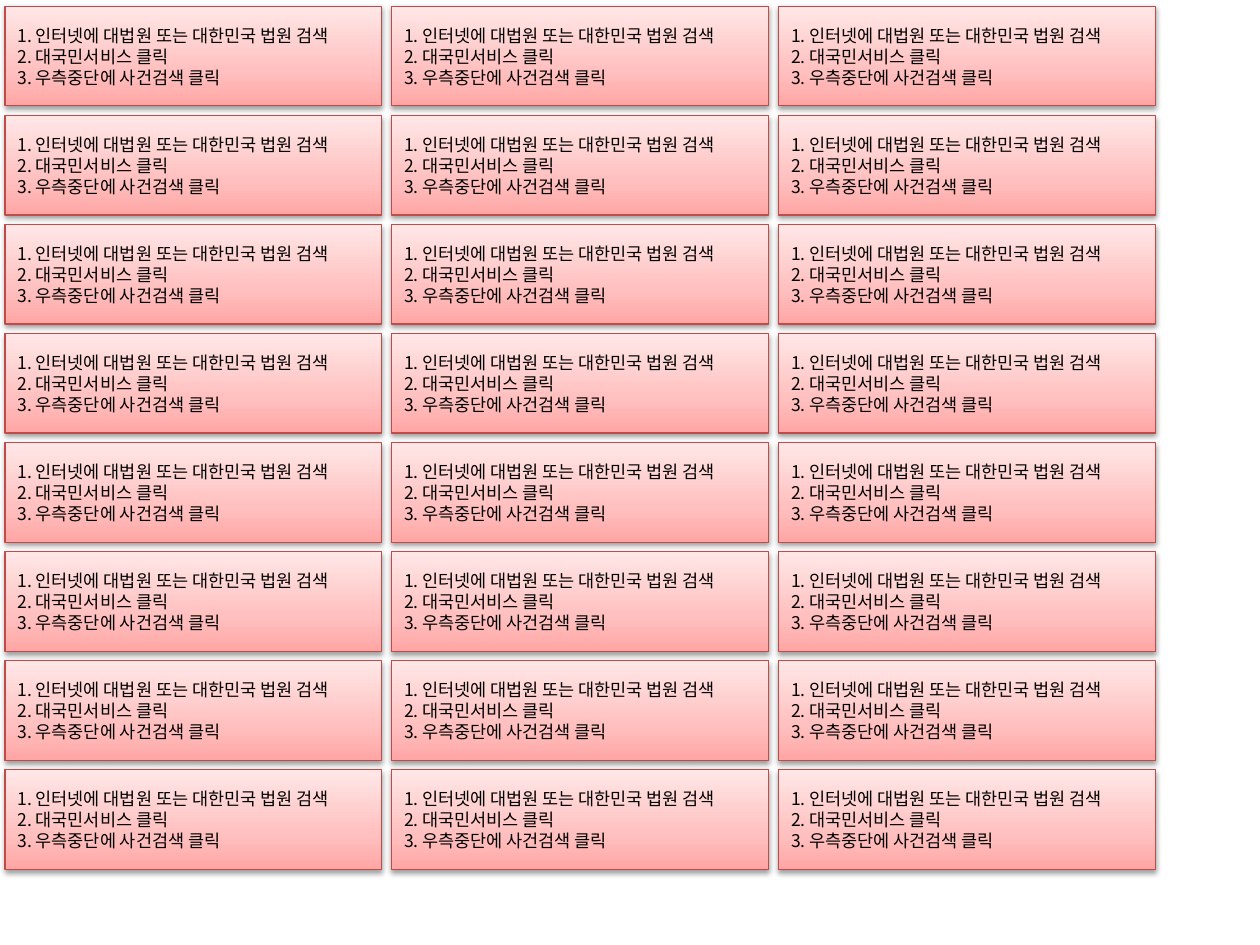
"""Build a sheet of identical court case search instruction cards."""

from dataclasses import dataclass
from itertools import product

from pptx import Presentation
from pptx.dml.color import RGBColor as Color
from pptx.enum.shapes import MSO_SHAPE as Shape
from pptx.enum.text import MSO_ANCHOR as Anchor, PP_ALIGN as Align
from pptx.oxml import parse_xml
from pptx.oxml.ns import nsdecls
from pptx.util import Inches, Pt


@dataclass(frozen=True)
class Theme:
    font: str = "Noto Sans CJK KR"
    size: float = 10
    leading: float = 12
    ink: str = "000000"
    edge: str = "BF4C48"
    edge_width: float = 0.75
    stops: tuple = ((0, "FFA6A5"), (35, "FFC0BF"), (100, "FFE7E7"))


THEME = Theme()
STEPS = (
    "인터넷에 대법원 또는 대한민국 법원 검색",
    "대국민서비스 클릭",
    "우측중단에 사건검색 클릭",
)
COLUMNS, ROWS = 3, 8
LEFT, TOP = 0.04, 0.05
CARD_WIDTH, CARD_HEIGHT = 2.99, 0.79
COLUMN_STEP = 3.07
ROW_STEP = (6.11 - TOP) / (ROWS - 1)

STOPS = "".join(
    f'<a:gs pos="{share * 1000}"><a:srgbClr val="{color}"/></a:gs>'
    for share, color in THEME.stops
)
GRADIENT = (
    f'<a:gradFill {nsdecls("a")} rotWithShape="1"><a:gsLst>{STOPS}</a:gsLst>'
    '<a:lin ang="16200000" scaled="0"/></a:gradFill>'
)
SHADOW = (
    f'<a:effectLst {nsdecls("a")}><a:outerShdw blurRad="{Pt(3.1)}" '
    f'dist="{Pt(1.6)}" dir="5400000" rotWithShape="0"><a:srgbClr val="000000">'
    '<a:alpha val="38000"/></a:srgbClr></a:outerShdw></a:effectLst>'
)


def write(para, text, *, font, size, color, leading):
    """Add one formatted line of text to a paragraph."""
    para.alignment = Align.LEFT
    para.line_spacing = Pt(leading)
    span = para.add_run()
    span.text = text
    span.font.name = font
    span.font.size = Pt(size)
    span.font.color.rgb = Color.from_string(color)
    span.font._element.append(
        parse_xml(f'<a:ea {nsdecls("a")} typeface="{font}"/>')
    )


deck = Presentation()
deck.slide_width, deck.slide_height = Inches(10), Inches(7.5)
page = deck.slides.add_slide(deck.slide_layouts.get_by_name("Blank"))

for column, row in product(range(COLUMNS), range(ROWS)):
    card = page.shapes.add_shape(
        Shape.RECTANGLE,
        Inches(LEFT + column * COLUMN_STEP),
        Inches(TOP + row * ROW_STEP),
        Inches(CARD_WIDTH),
        Inches(CARD_HEIGHT),
    )
    card.line.color.rgb = Color.from_string(THEME.edge)
    card.line.width = Pt(THEME.edge_width)
    properties = card._element.spPr
    properties.insert(2, parse_xml(GRADIENT))
    properties.append(parse_xml(SHADOW))

    frame = card.text_frame
    frame.word_wrap = True
    frame.vertical_anchor = Anchor.MIDDLE
    for number, step in enumerate(STEPS, start=1):
        para = frame.paragraphs[0] if number == 1 else frame.add_paragraph()
        write(
            para,
            f"{number}. {step}",
            font=THEME.font,
            size=THEME.size,
            color=THEME.ink,
            leading=THEME.leading,
        )

deck.save("out.pptx")
